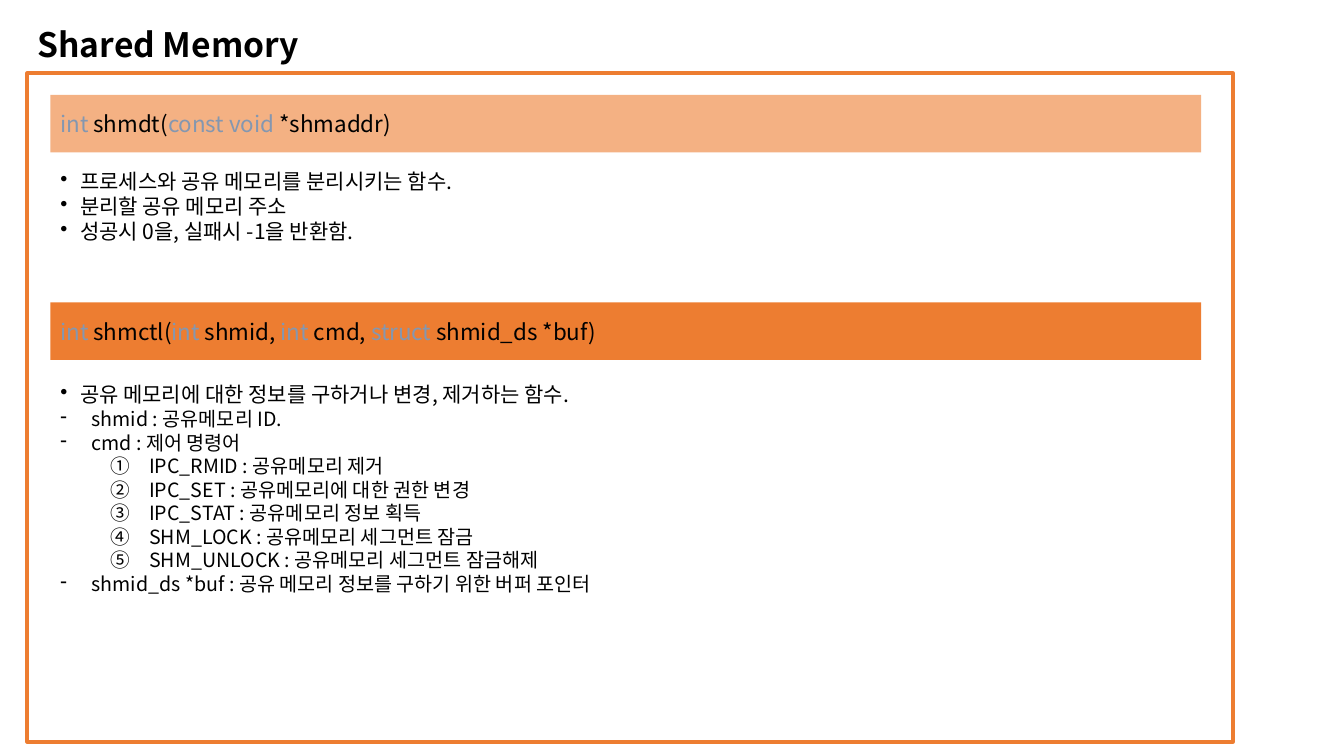
from lxml import etree
from pptx import Presentation
from pptx.dml.color import RGBColor
from pptx.enum.shapes import MSO_SHAPE
from pptx.enum.text import MSO_ANCHOR, MSO_AUTO_SIZE, PP_ALIGN
from pptx.oxml.ns import qn
from pptx.util import Cm, Pt

RECTANGLE = MSO_SHAPE.RECTANGLE
TOP, MIDDLE = MSO_ANCHOR.TOP, MSO_ANCHOR.MIDDLE
LEFT = PP_ALIGN.LEFT
GROW = MSO_AUTO_SIZE.SHAPE_TO_FIT_TEXT

FONT = "Noto Sans CJK KR"
COLORS = {"text": "000000", "keyword": "8497B0", "light": "F4B183", "accent": "ED7D31"}
TITLE_LAYOUT = 5
BAR_HEIGHT = 1.45

# Bullet kind: tag, attribute, value, margin and hanging indent in cm, level, size
BULLETS = {
    "dot": ("a:buChar", "char", "•", 0.5, 0.5, 0, 15),
    "dash": ("a:buChar", "char", "-", 0.79, 0.79, 0, 14),
    "number": ("a:buAutoNum", "type", "circleNumDbPlain", 2.24, 0.97, 1, 14),
}

# Signature parts alternate between keyword and plain text
SECTIONS = [
    {
        "box": (1.27, 2.39, 29, 3.94), "fill": "light", "text_offset": 1.73,
        "signature": ["int ", "shmdt(", "const void ", "*shmaddr)"],
        "lines": [
            ("dot", "프로세스와 공유 메모리를 분리시키는 함수."),
            ("dot", "분리할 공유 메모리 주소"),
            ("dot", "성공시 0을, 실패시 -1을 반환함."),
        ],
    },
    {
        "box": (1.27, 7.62, 29, 7.39), "fill": "accent", "text_offset": 1.88,
        "signature": ["int ", "shmctl(", "int ", "shmid, ", "int ", "cmd, ",
                      "struct ", "shmid_ds *buf)"],
        "lines": [
            ("dot", "공유 메모리에 대한 정보를 구하거나 변경, 제거하는 함수."),
            ("dash", "shmid : 공유메모리 ID."),
            ("dash", "cmd : 제어 명령어"),
            ("number", "IPC_RMID : 공유메모리 제거"),
            ("number", "IPC_SET : 공유메모리에 대한 권한 변경"),
            ("number", "IPC_STAT : 공유메모리 정보 획득"),
            ("number", "SHM_LOCK : 공유메모리 세그먼트 잠금"),
            ("number", "SHM_UNLOCK : 공유메모리 세그먼트 잠금해제"),
            ("dash", "shmid_ds *buf : 공유 메모리 정보를 구하기 위한 버퍼 포인터"),
        ],
    },
]


def color(name):
    return RGBColor.from_string(COLORS[name])


def format_paragraph(paragraph, size, bold=False):
    paragraph.alignment = LEFT
    font = paragraph.font
    font.name, font.size, font.bold = FONT, Pt(size), bold
    font.color.rgb = color("text")
    # East Asian glyphs use the same typeface
    defaults = paragraph._p.pPr.find(qn("a:defRPr"))
    etree.SubElement(defaults, qn("a:ea")).set("typeface", FONT)


def set_bullet(paragraph, kind):
    tag, attribute, value, margin, hanging, level, size = BULLETS[kind]
    paragraph.level = level
    properties = paragraph._p.get_or_add_pPr()
    properties.set("marL", str(Cm(margin)))
    properties.set("indent", str(-Cm(hanging)))
    etree.SubElement(properties, qn(tag)).set(attribute, value)
    format_paragraph(paragraph, size)


def add_rectangle(slide, box):
    shape = slide.shapes.add_shape(RECTANGLE, *map(Cm, box))
    shape.shadow.inherit = False
    return shape


def add_title(slide, box, text):
    title = slide.shapes.title
    title.left, title.top, title.width, title.height = map(Cm, box)
    frame = title.text_frame
    frame.text = text
    frame.word_wrap = True
    frame.auto_size = GROW
    frame.vertical_anchor = TOP
    format_paragraph(frame.paragraphs[0], 24, bold=True)


def add_signature_bar(slide, box, fill, parts):
    bar = add_rectangle(slide, box)
    bar.fill.solid()
    bar.fill.fore_color.rgb = color(fill)
    bar.line.fill.background()
    bar.text_frame.vertical_anchor = MIDDLE
    paragraph = bar.text_frame.paragraphs[0]
    format_paragraph(paragraph, 16)
    for index, part in enumerate(parts):
        run = paragraph.add_run()
        run.text = part
        run.font.color.rgb = color("text" if index % 2 else "keyword")


def add_description(slide, box, lines):
    frame = slide.shapes.add_textbox(*map(Cm, box)).text_frame
    frame.word_wrap = True
    for index, (kind, text) in enumerate(lines):
        paragraph = frame.add_paragraph() if index else frame.paragraphs[0]
        paragraph.text = text
        set_bullet(paragraph, kind)


def add_section(slide, box, fill, text_offset, signature, lines):
    left, top, width, height = box
    add_signature_bar(slide, (left, top, width, BAR_HEIGHT), fill, signature)
    add_description(
        slide, (left, top + text_offset, width, height - text_offset), lines)


def add_frame(slide, box):
    frame = add_rectangle(slide, box)
    frame.fill.background()
    frame.line.color.rgb = color("accent")
    frame.line.width = Pt(3)


def main():
    presentation = Presentation()
    presentation.slide_width, presentation.slide_height = Cm(33.87), Cm(19.05)
    slide = presentation.slides.add_slide(presentation.slide_layouts[TITLE_LAYOUT])
    add_title(slide, (0.69, 0.48, 13.67, 1.27), "Shared Memory")
    for section in SECTIONS:
        add_section(slide, **section)
    add_frame(slide, (0.69, 1.85, 30.38, 16.84))
    presentation.save("out.pptx")


if __name__ == "__main__":
    main()
